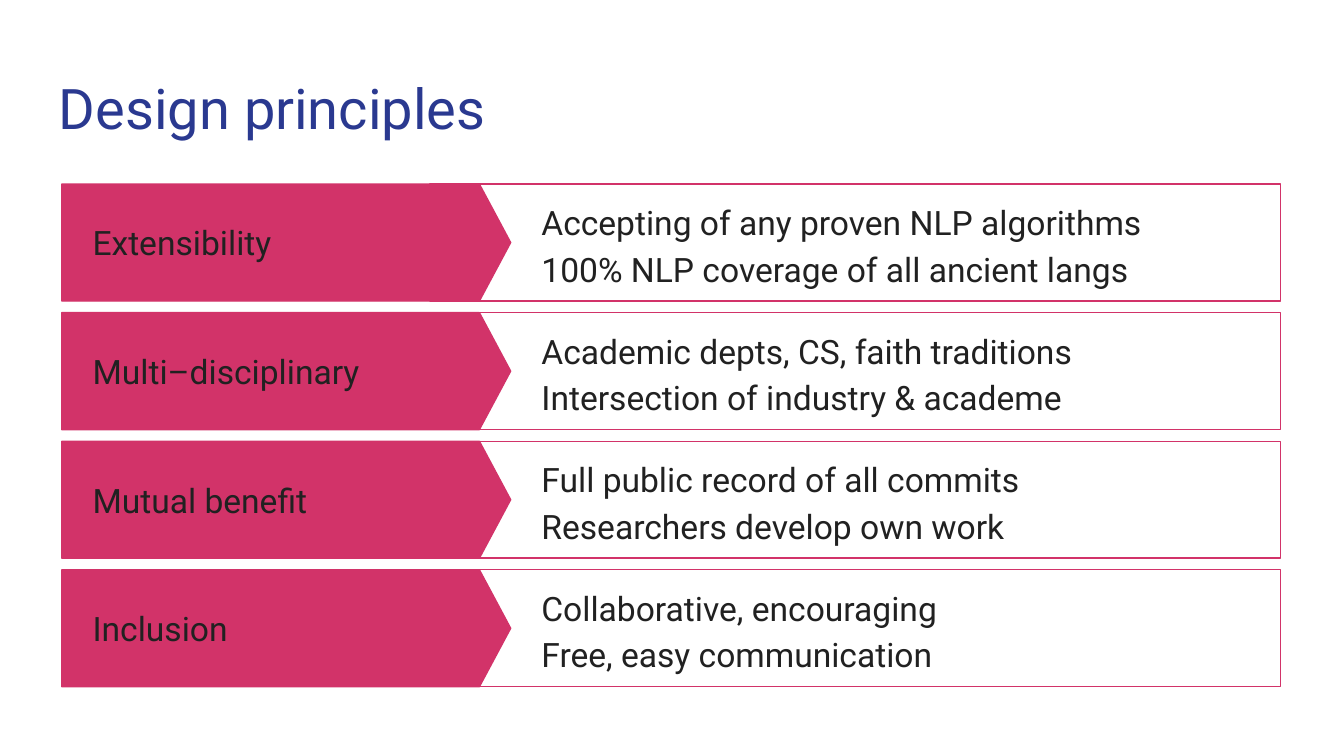
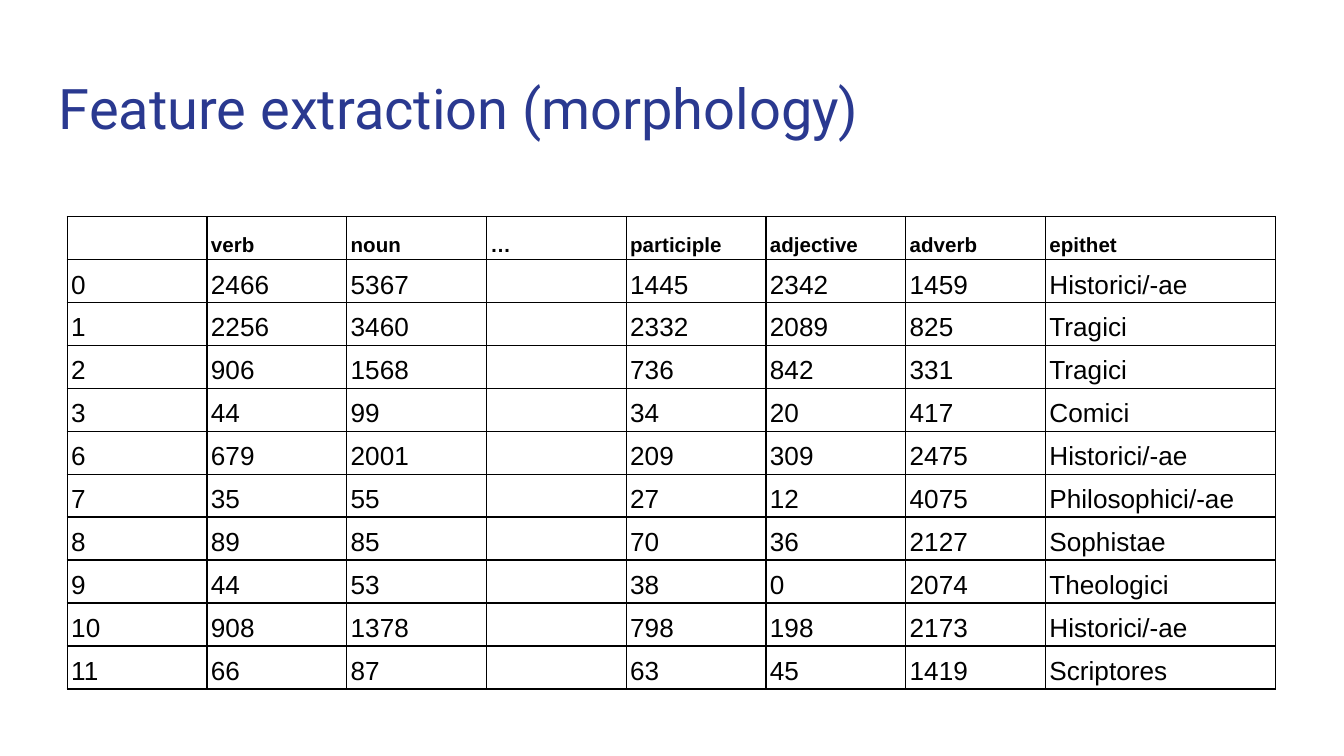
from dataclasses import dataclass

from lxml import etree
from pptx import Presentation
from pptx import util as u
from pptx.dml.color import RGBColor
from pptx.enum import shapes, text
from pptx.oxml.ns import qn


@dataclass(frozen=True)
class Theme:
    navy: str = "2A3990"
    pink: str = "D23369"
    ink: str = "212121"
    black: str = "000000"
    white: str = "FFFFFF"
    sans: str = "Roboto"
    table_sans: str = "Arial"
    title: float = 30
    body: float = 18
    header: float = 11
    cell: float = 14
    rule: float = 0.75
    spacing: float = 1.15


class Deck:
    """Holds the theme and the slide being built."""

    def __init__(self, theme):
        self.theme = theme
        self.prs = Presentation()
        # Widescreen, 16:9
        self.prs.slide_width = u.Inches(10)
        self.prs.slide_height = u.Inches(10 * 9 / 16)
        self.slide = None

    def new_slide(self, title):
        t = self.theme
        self.slide = self.prs.slides.add_slide(self.prs.slide_layouts[6])
        self.textbox((0.34, 0.45, 9.32, 0.66), [title], t.title, t.navy,
                     text.MSO_ANCHOR.TOP)

    def style(self, paragraph, size, color, font, bold=False):
        paragraph.font.name = font
        paragraph.font.size = u.Pt(size)
        paragraph.font.bold = bold
        paragraph.font.color.rgb = RGBColor.from_string(color)

    def textbox(self, box, lines, size, color, anchor=text.MSO_ANCHOR.MIDDLE,
                hanging=False):
        frame = self.slide.shapes.add_textbox(*map(u.Inches, box)).text_frame
        frame.word_wrap = True
        frame.vertical_anchor = anchor
        frame.margin_left = frame.margin_right = u.Inches(0.1)
        frame.margin_top = frame.margin_bottom = u.Inches(0.1)
        frame.text = "\n".join(lines)
        for paragraph in frame.paragraphs:
            if hanging:
                paragraph.line_spacing = self.theme.spacing
                props = paragraph._p.get_or_add_pPr()
                props.set("marL", str(u.Inches(0.5)))
                props.set("indent", str(-u.Inches(0.38)))
            self.style(paragraph, size, color, self.theme.sans)

    def shape(self, parent, kind, box, fill):
        shape = parent.shapes.add_shape(kind, *map(u.Inches, box))
        shape.shadow.inherit = False
        shape.fill.solid()
        shape.fill.fore_color.rgb = RGBColor.from_string(fill)
        shape.line.color.rgb = RGBColor.from_string(self.theme.pink)
        shape.line.width = u.Pt(self.theme.rule)
        return shape

    def principle(self, top, name, details):
        t, height = self.theme, 0.87
        band = self.slide.shapes.add_group_shape()
        self.shape(band, shapes.MSO_SHAPE.RECTANGLE, (3.2, top, 6.33, height), t.white)
        arrow = self.shape(band, shapes.MSO_SHAPE.PENTAGON,
                           (0.46, top, 3.34, height), t.pink)
        arrow.adjustments[0] = 0.267
        self.textbox((0.59, top, 2.65, height), [name], t.body, t.ink)
        self.textbox((3.81, top, 5.59, height), details, t.body, t.ink, hanging=True)

    def table(self, left, top, widths, row_height, rows):
        table = self.slide.shapes.add_table(
            len(rows), len(widths), u.Inches(left), u.Inches(top),
            u.Inches(sum(widths)), u.Inches(row_height * len(rows))).table
        table.horz_banding = False
        for column, width in zip(table.columns, widths):
            column.width = u.Inches(width)
        for r, values in enumerate(rows):
            table.rows[r].height = u.Inches(row_height)
            for c, value in enumerate(values):
                self.cell(table.cell(r, c), value, is_header=r == 0)

    def cell(self, cell, value, is_header):
        t = self.theme
        cell.vertical_anchor = text.MSO_ANCHOR.BOTTOM
        cell.margin_left = cell.margin_right = u.Inches(0.03)
        # Empty cells get no vertical margin, so they do not stretch the row
        cell.margin_top = cell.margin_bottom = u.Inches(0.02 if value else 0)
        if value:
            cell.text = value
            paragraph = cell.text_frame.paragraphs[0]
            paragraph.line_spacing = t.spacing
            self.style(paragraph, t.header if is_header else t.cell,
                       t.black, t.table_sans, is_header)
        # Borders come before the fill in the cell properties
        props = cell._tc.get_or_add_tcPr()
        for side in ("a:lnL", "a:lnR", "a:lnT", "a:lnB"):
            line = etree.SubElement(props, qn(side), w=str(u.Pt(t.rule)))
            fill = etree.SubElement(line, qn("a:solidFill"))
            etree.SubElement(fill, qn("a:srgbClr"), val=t.black)
        cell.fill.solid()
        cell.fill.fore_color.rgb = RGBColor.from_string(t.white)


PRINCIPLES = [
    ("Extensibility", ["Accepting of any proven NLP algorithms",
                       "100% NLP coverage of all ancient langs"]),
    ("Multi–disciplinary", ["Academic depts, CS, faith traditions",
                            "Intersection of industry & academe"]),
    ("Mutual benefit", ["Full public record of all commits",
                        "Researchers develop own work"]),
    ("Inclusion", ["Collaborative, encouraging",
                   "Free, easy communication"]),
]

FEATURES = [
    ("", "verb", "noun", "…", "participle", "adjective", "adverb", "epithet"),
    ("0", "2466", "5367", "", "1445", "2342", "1459", "Historici/-ae"),
    ("1", "2256", "3460", "", "2332", "2089", "825", "Tragici"),
    ("2", "906", "1568", "", "736", "842", "331", "Tragici"),
    ("3", "44", "99", "", "34", "20", "417", "Comici"),
    ("6", "679", "2001", "", "209", "309", "2475", "Historici/-ae"),
    ("7", "35", "55", "", "27", "12", "4075", "Philosophici/-ae"),
    ("8", "89", "85", "", "70", "36", "2127", "Sophistae"),
    ("9", "44", "53", "", "38", "0", "2074", "Theologici"),
    ("10", "908", "1378", "", "798", "198", "2173", "Historici/-ae"),
    ("11", "66", "87", "", "63", "45", "1419", "Scriptores"),
]


def main():
    deck = Deck(Theme())

    # Design principles: evenly spaced bands
    deck.new_slide("Design principles")
    first, last = 1.37, 4.24
    pitch = (last - first) / (len(PRINCIPLES) - 1)
    for i, (name, details) in enumerate(PRINCIPLES):
        deck.principle(first + i * pitch, name, details)

    # Morphological features per text
    deck.new_slide("Feature extraction (morphology)")
    deck.table(0.5, 1.61, [1.04] * 7 + [1.71], 0.32, FEATURES)

    deck.prs.save("out.pptx")


if __name__ == "__main__":
    main()
